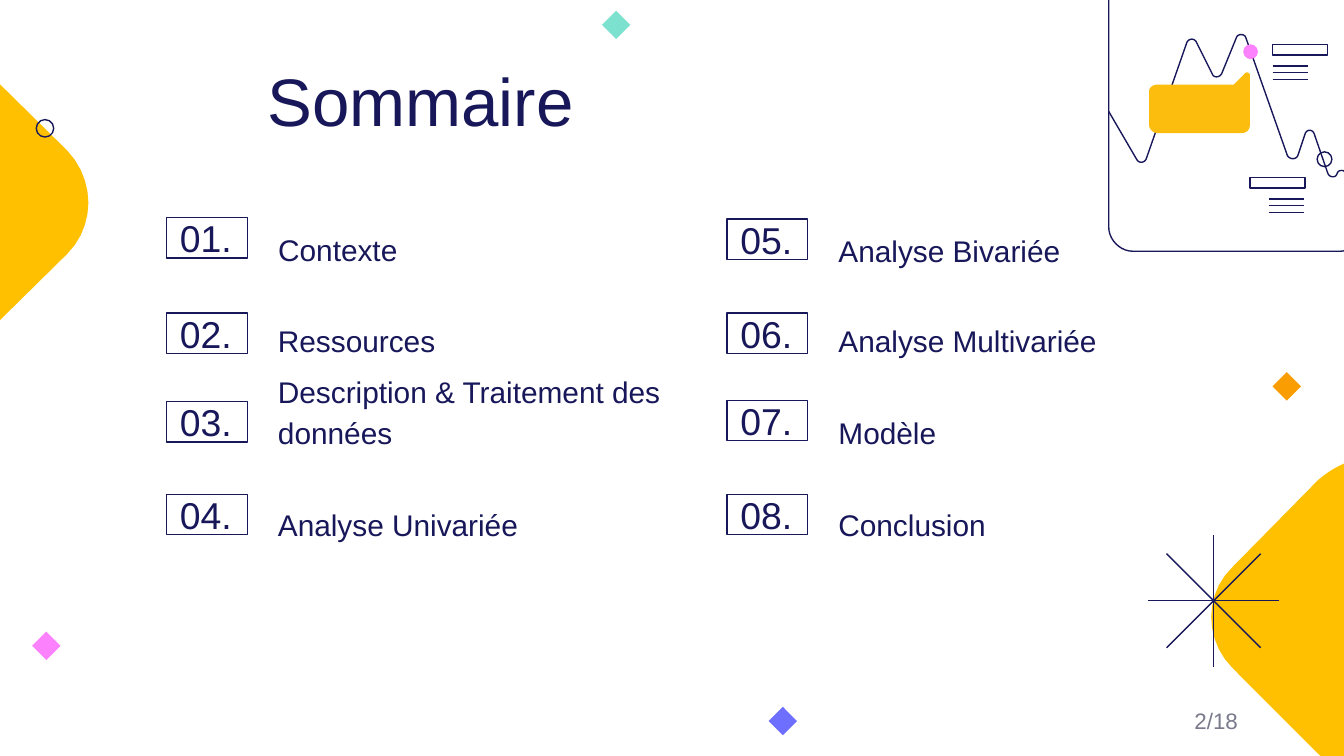
from dataclasses import dataclass

import pptx
import pptx.dml.color
import pptx.enum.shapes
import pptx.enum.text
import pptx.oxml
import pptx.util

RGBColor = pptx.dml.color.RGBColor
MSO_SHAPE = pptx.enum.shapes.MSO_SHAPE
ANCHOR = pptx.enum.text.MSO_ANCHOR
ALIGN = pptx.enum.text.PP_ALIGN

EMU_PER_PX = 9144  # 100 px to the inch
NAVY = RGBColor(0x17, 0x17, 0x5A)
GREY = RGBColor(0x7A, 0x7A, 0x8D)
YELLOW = RGBColor(0xFF, 0xC0, 0x00)
AMBER = RGBColor(0xFC, 0xBD, 0x0E)
ORANGE = RGBColor(0xFA, 0x9D, 0x02)
PINK = RGBColor(0xFC, 0x81, 0xFD)
VIOLET = RGBColor(0x6E, 0x6F, 0xFF)
MINT = RGBColor(0x7C, 0xE1, 0xCF)
FONT = "Arial"
CURVE_STEPS = 10


@dataclass
class Box:
    left: int
    top: int
    width: int
    height: int

    def emu(self):
        return [px(v) for v in (self.left, self.top, self.width, self.height)]


@dataclass
class Entry:
    number: str
    label: str
    column: int
    number_top: int
    label_top: int
    label_width: int


@dataclass
class Outline:
    """Segments of two values are lines, of six values cubic curves."""
    segments: list
    closed: bool = True
    fill: RGBColor | None = None


ENTRIES = [
    Entry("01.", "Contexte", 124, 162, 160, 221),
    Entry("02.", "Ressources", 124, 233, 228, 297),
    Entry("03.", "Description & Traitement des données", 124, 299, 296, 344),
    Entry("04.", "Analyse Univariée", 124, 368, 365, 297),
    Entry("05.", "Analyse Bivariée", 541, 163, 161, 298),
    Entry("06.", "Analyse Multivariée", 541, 233, 228, 242),
    Entry("07.", "Modèle", 541, 298, 296, 278),
    Entry("08.", "Conclusion", 541, 368, 365, 297),
]

LEFT_DIAMOND = Outline([
    (-16, 47), (50, 112), (71, 134, 71, 168, 50, 189), (-16, 254),
    (-37, 275, -71, 275, -92, 254), (-157, 189),
    (-179, 168, -179, 134, -157, 112), (-92, 47), (-71, 26, -37, 26, -16, 47),
], fill=YELLOW)
RIGHT_DIAMOND = Outline([
    (1000, 573), (993, 571, 987, 567, 981, 561), (917, 497),
    (896, 476, 896, 442, 917, 422), (981, 357),
    (987, 352, 993, 348, 1000, 345),
], fill=YELLOW)
PANEL = Outline([
    (997, 187), (843, 187), (833, 187, 825, 178, 825, 169), (825, -9),
    (825, -19, 833, -27, 843, -27), (997, -27),
    (1007, -27, 1015, -19, 1015, -9), (1015, 168),
    (1015, 178, 1007, 187, 997, 187),
])
CURVE = Outline([
    (825, 83), (846, 119), (848, 122, 852, 121, 853, 118), (883, 32),
    (884, 29, 888, 28, 890, 31), (902, 55), (903, 58, 907, 58, 909, 55),
    (920, 28), (921, 25, 926, 25, 927, 28), (958, 116),
    (960, 119, 965, 119, 966, 115), (971, 100), (972, 96, 977, 96, 978, 100),
    (988, 129), (989, 132, 994, 133, 995, 129),
    (996, 126, 1001, 126, 1002, 130), (1015, 166),
], closed=False)
CALLOUT = Outline([
    (926, 55), (918, 63), (861, 63), (858, 63, 855, 65, 855, 68), (855, 93),
    (855, 96, 858, 99, 861, 99), (924, 99), (928, 99, 930, 96, 930, 93),
    (930, 56), (930, 54, 927, 53, 926, 55),
], fill=AMBER)


def px(value: float) -> pptx.util.Emu:
    return pptx.util.Emu(round(value * EMU_PER_PX))


def paint(shape, fill: RGBColor | None) -> None:
    """Fill without a line, or a navy line without a fill."""
    shape.shadow.inherit = False
    if fill is None:
        shape.fill.background()
        shape.line.color.rgb = NAVY
        shape.line.width = pptx.util.Pt(0.75)
    else:
        shape.fill.solid()
        shape.fill.fore_color.rgb = fill
        shape.line.fill.background()


def flatten(segments: list) -> list:
    points = []
    for segment in segments:
        if len(segment) == 2:
            points.append(segment)
            continue
        controls = [points[-1], segment[:2], segment[2:4], segment[4:]]
        for step in range(1, CURVE_STEPS + 1):
            t = step / CURVE_STEPS
            weights = ((1 - t) ** 3, 3 * t * (1 - t) ** 2, 3 * t * t * (1 - t), t ** 3)
            points.append(tuple(
                sum(w * c[axis] for w, c in zip(weights, controls)) for axis in (0, 1)))
    return points


def draw_outline(slide, outline: Outline) -> None:
    points = [(px(x), px(y)) for x, y in flatten(outline.segments)]
    builder = slide.shapes.build_freeform(*points[0], scale=1.0)
    builder.add_line_segments(points[1:], close=outline.closed)
    paint(builder.convert_to_shape(), outline.fill)


def draw_shape(slide, kind, box: Box, fill: RGBColor | None = None):
    shape = slide.shapes.add_shape(kind, *box.emu())
    paint(shape, fill)
    return shape


def draw_line(slide, x1: int, y1: int, x2: int, y2: int) -> None:
    line = slide.shapes.add_connector(
        pptx.enum.shapes.MSO_CONNECTOR.STRAIGHT, px(x1), px(y1), px(x2), px(y2))
    line.line.color.rgb = NAVY
    line.line.width = pptx.util.Pt(0.75)
    line._element.spPr.append(pptx.oxml.parse_xml(
        '<a:effectLst xmlns:a="http://schemas.openxmlformats.org/drawingml/2006/main"/>'))


def write(shape, text: str, size: int, anchor, color: RGBColor = NAVY,
          align=ALIGN.LEFT, spacing: float = 1.0, inset: int = 10) -> None:
    frame = shape.text_frame
    frame.text = text
    frame.word_wrap = True
    frame.auto_size = pptx.enum.text.MSO_AUTO_SIZE.NONE
    frame.vertical_anchor = anchor
    frame.margin_left = frame.margin_right = px(10)
    frame.margin_top = frame.margin_bottom = px(inset)
    paragraph = frame.paragraphs[0]
    paragraph.alignment = align
    paragraph.line_spacing = spacing
    paragraph.space_before = pptx.util.Pt(0)
    font = paragraph.runs[0].font
    font.name, font.size, font.color.rgb = FONT, pptx.util.Pt(size), color


def place(placeholder, box: Box):
    placeholder.left, placeholder.top, placeholder.width, placeholder.height = box.emu()
    return placeholder


def draw_background(slide) -> None:
    draw_outline(slide, LEFT_DIAMOND)
    draw_outline(slide, RIGHT_DIAMOND)
    for dx, dy in ((0, 49), (49, 0), (35, 35), (35, -35)):
        draw_line(slide, 903 - dx, 447 - dy, 903 + dx, 447 + dy)
    for left, top, color in ((27, 473, PINK), (575, 529, VIOLET),
                             (950, 280, ORANGE), (451, 11, MINT)):
        draw_shape(slide, MSO_SHAPE.RECTANGLE, Box(left, top, 15, 15), color).rotation = 315
    draw_shape(slide, MSO_SHAPE.OVAL, Box(27, 89, 13, 13))


def draw_chart_panel(slide) -> None:
    for bar_left, lines_left, top in ((947, 947, 33), (930, 944, 132)):
        draw_shape(slide, MSO_SHAPE.RECTANGLE, Box(bar_left, top, 41, 8))
        for offset in (16, 21, 26):
            draw_line(slide, lines_left, top + offset, lines_left + 26, top + offset)
    draw_outline(slide, PANEL)
    draw_outline(slide, CURVE)
    draw_shape(slide, MSO_SHAPE.OVAL, Box(925, 33, 11, 11), PINK)
    draw_shape(slide, MSO_SHAPE.OVAL, Box(980, 113, 11, 11))
    draw_outline(slide, CALLOUT)


def draw_entry(slide, entry: Entry, placeholder=None) -> None:
    number = draw_shape(slide, MSO_SHAPE.RECTANGLE, Box(entry.column, entry.number_top, 60, 30))
    write(number, entry.number, 20, ANCHOR.MIDDLE)
    box = Box(entry.column + 73, entry.label_top, entry.label_width, 49)
    label = place(placeholder, box) if placeholder else slide.shapes.add_textbox(*box.emu())
    write(label, entry.label, 16, ANCHOR.BOTTOM, spacing=1.15)


def main() -> None:
    deck = pptx.Presentation()
    deck.slide_width = px(1000)
    deck.slide_height = deck.slide_width * 9 // 16
    slide = deck.slides.add_slide(deck.slide_layouts[0])
    draw_background(slide)
    title = place(slide.shapes.title, Box(189, 34, 657, 63))
    write(title, "Sommaire", 36, ANCHOR.TOP)
    draw_chart_panel(slide)
    draw_entry(slide, ENTRIES[0], slide.placeholders[1])
    for entry in ENTRIES[1:]:
        draw_entry(slide, entry)
    page = slide.shapes.add_textbox(*Box(706, 521, 225, 30).emu())
    write(page, "2/18", 12, ANCHOR.MIDDLE, GREY, ALIGN.RIGHT, inset=5)
    deck.save("out.pptx")


if __name__ == "__main__":
    main()
